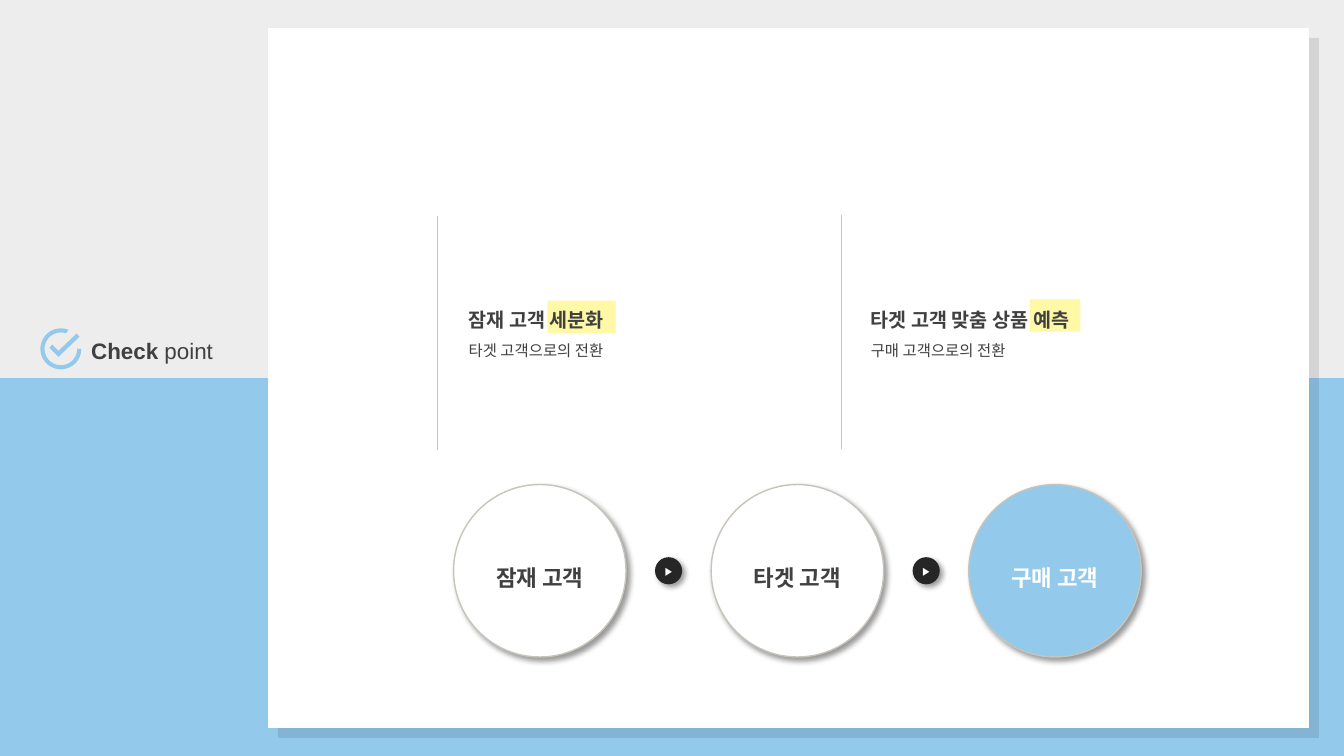
from math import cos, radians, sin

from lxml.etree import SubElement
from pptx import Presentation
from pptx.dml.color import RGBColor
from pptx.enum.shapes import MSO_CONNECTOR, MSO_SHAPE
from pptx.enum.text import MSO_ANCHOR, MSO_AUTO_SIZE, PP_ALIGN
from pptx.oxml.ns import qn
from pptx.util import Pt

BLUE, DARK, WHITE, RULE, YELLOW = "93C9EB", "404040", "FFFFFF", "C9C4BB", "FFF8A6"
PANEL_SHADOW, DISC_SHADOW = (10, 0, 10), (40, 4, 3)
HEADING = {"size": Pt(14), "bold": True}
DETAIL = {"size": Pt(11), "bold": False}
LABEL = {"size": Pt(16), "bold": True}


def rgb(value):
    return RGBColor.from_string(value)


class Deck:
    """Draw styled elements in points on the current slide."""

    def __init__(self, width, height, font):
        self.prs = Presentation()
        self.prs.slide_width, self.prs.slide_height = Pt(width), Pt(height)
        self.font = font

    def add_slide(self, color):
        self.s = self.prs.slides.add_slide(self.prs.slide_layouts[6])
        self.s.background.fill.solid()
        self.s.background.fill.fore_color.rgb = rgb(color)

    def paint(self, sp, fill, line=None, shadow=None):
        sp.shadow.inherit = False
        sp.fill.solid()
        sp.fill.fore_color.rgb = rgb(fill)
        if line:
            sp.line.color.rgb = rgb(line)
            sp.line.width = Pt(1)
        else:
            sp.line.fill.background()
        if shadow:
            alpha, blur, distance = shadow
            effects = sp._element.spPr.find(qn("a:effectLst"))
            outer = SubElement(effects, qn("a:outerShdw"), blurRad=str(Pt(blur)),
                               dist=str(Pt(distance)), dir="2700000",
                               algn="tl", rotWithShape="0")
            black = SubElement(outer, qn("a:srgbClr"), val="000000")
            SubElement(black, qn("a:alpha"), val=str(alpha * 1000))

    def add_runs(self, p, runs, color, spacing=None):
        p.line_spacing = spacing
        for text, style in runs:
            r = p.add_run()
            r.text = text
            r.font.color.rgb = rgb(color)
            for name, value in {"name": self.font, **style}.items():
                setattr(r.font, name, value)

    def rect(self, x, y, w, h, fill, shadow=None):
        sp = self.s.shapes.add_shape(MSO_SHAPE.RECTANGLE, Pt(x), Pt(y), Pt(w), Pt(h))
        self.paint(sp, fill, shadow=shadow)

    def disc(self, cx, cy, d, text, fill, color, style, line=None, spacing=None):
        sp = self.s.shapes.add_shape(MSO_SHAPE.OVAL, Pt(cx - d / 2), Pt(cy - d / 2),
                                     Pt(d), Pt(d))
        self.paint(sp, fill, line, DISC_SHADOW)
        tf = sp.text_frame
        tf.word_wrap = False
        tf.vertical_anchor = MSO_ANCHOR.MIDDLE
        tf.paragraphs[0].alignment = PP_ALIGN.CENTER
        self.add_runs(tf.paragraphs[0], [(text, style)], color, spacing)

    def text(self, x, y, w, h, lines, spacing=None):
        tf = self.s.shapes.add_textbox(Pt(x), Pt(y), Pt(w), Pt(h)).text_frame
        tf.word_wrap = True
        tf.auto_size = MSO_AUTO_SIZE.SHAPE_TO_FIT_TEXT
        for i, runs in enumerate(lines):
            p = tf.add_paragraph() if i else tf.paragraphs[0]
            self.add_runs(p, runs, DARK, spacing)

    def vline(self, x, top, bottom):
        sp = self.s.shapes.add_connector(MSO_CONNECTOR.STRAIGHT, Pt(x), Pt(top),
                                         Pt(x), Pt(bottom))
        sp.line.color.rgb = rgb(RULE)
        sp.line.width = Pt(0.5)
        SubElement(sp._element.spPr, qn("a:effectLst"))

    def outline(self, contours, fill):
        contours = [[(Pt(x), Pt(y)) for x, y in points] for points in contours]
        builder = self.s.shapes.build_freeform(*contours[0][0], scale=1.0)
        for i, points in enumerate(contours):
            if i:
                builder.move_to(*points[0])
            builder.add_line_segments(points[1:], close=True)
        self.paint(builder.convert_to_shape(), fill)


def arc(cx, cy, radius, angles):
    return [(cx + radius * cos(radians(a)), cy + radius * sin(radians(a))) for a in angles]


def main():
    deck = Deck(960, 540, "Arial")
    deck.add_slide(BLUE)
    deck.rect(0, 0, 960, 270, "EDEDED")
    deck.rect(191.5, 20, 743.5, 500, WHITE, PANEL_SHADOW)

    tick = [(54.7, 238.3), (56.9, 240.5), (41.8, 254.9),
            (35.3, 248.4), (37.4, 246.2), (41.8, 250.6)]
    ring = arc(43.5, 249.2, 14.6, range(0, 293, 4)) + arc(43.5, 249.2, 11.7, range(288, -1, -4))
    deck.outline([tick, ring], BLUE)
    deck.text(58.1, 237, 122.4, 26.6,
              [[("Check ", LABEL), ("point", {"size": Pt(16), "bold": False})]])

    columns = [
        (312.5, 154.3, 327.6, (391, 214.8, 48.7),
         "잠재 고객 세분화", "타겟 고객으로의 전환"),
        (600.7, 153.6, 614.9, (735.7, 213.9, 36),
         "타겟 고객 맞춤 상품 예측", "구매 고객으로의 전환"),
    ]
    for rule_x, rule_top, text_x, (mark_x, mark_y, mark_w), heading, detail in columns:
        deck.vline(rule_x, rule_top, rule_top + 167)
        deck.rect(mark_x, mark_y, mark_w, 23, YELLOW)
        deck.text(text_x, 208.1, 306, 50.4,
                  [[(heading, HEADING)], [(detail, DETAIL)]], spacing=1.5)

    first_x, center_y, step = 385.6, 407.7, 184
    stages = [("잠재 고객", WHITE, DARK), ("타겟 고객", WHITE, DARK), ("구매 고객", BLUE, WHITE)]
    for i, (name, fill, color) in enumerate(stages):
        x = first_x + i * step
        deck.disc(x, center_y, 123.2, name, fill, color, LABEL, RULE, 1.5)
        if i < len(stages) - 1:
            deck.disc(x + step / 2, center_y, 19.4, "▶", "262626", WHITE, {"size": Pt(8)})

    deck.prs.save("out.pptx")


if __name__ == "__main__":
    main()
